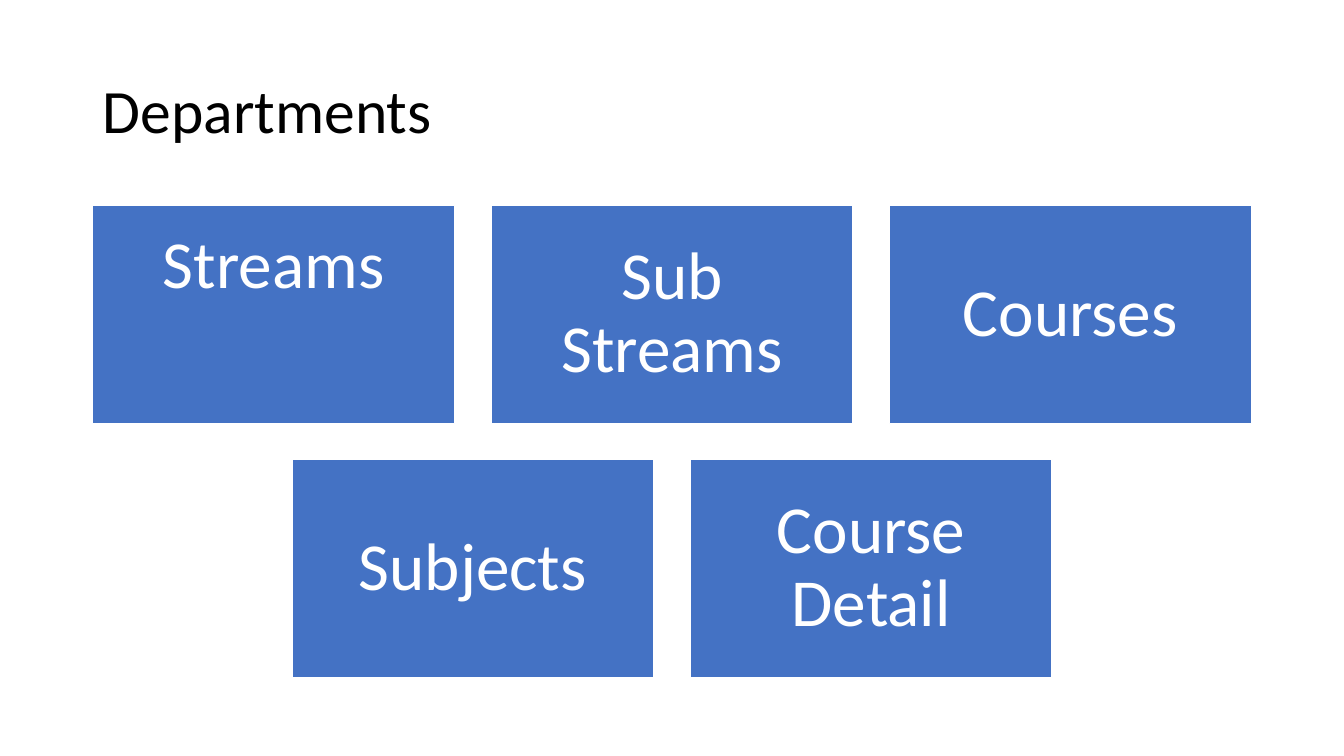
from dataclasses import dataclass

from pptx import Presentation
from pptx.dml.color import RGBColor
from pptx.enum.shapes import MSO_SHAPE
from pptx.enum.text import MSO_ANCHOR, MSO_AUTO_SIZE, PP_ALIGN
from pptx.shapes.autoshape import Shape
from pptx.slide import Slide
from pptx.util import Inches, Pt

RECTANGLE = MSO_SHAPE.RECTANGLE
TOP, MIDDLE = MSO_ANCHOR.TOP, MSO_ANCHOR.MIDDLE
LEFT, CENTER = PP_ALIGN.LEFT, PP_ALIGN.CENTER
NO_AUTOFIT = MSO_AUTO_SIZE.NONE

FONT = "Calibri"
BLACK, WHITE, BLUE = "000000", "FFFFFF", "4472C4"

SLIDE_WIDTH, SLIDE_HEIGHT = 13.33, 7.5
TILE_WIDTH, TILE_HEIGHT, TILE_GAP = 3.59, 2.16, 0.36
ROWS_TOP = 2.04
TILE_INSET = 0.2


@dataclass(frozen=True)
class Tile:
    label: str
    anchor: MSO_ANCHOR = MIDDLE
    top_inset: float = TILE_INSET


TILE_ROWS = [
    [Tile("Streams", anchor=TOP, top_inset=0.25), Tile("Sub Streams"), Tile("Courses")],
    [Tile("Subjects"), Tile("Course Detail")],
]


def color(hex_code: str) -> RGBColor:
    return RGBColor.from_string(hex_code)


def write(shape: Shape, text: str, *, size: float, hex_code: str,
          align: PP_ALIGN = LEFT, anchor: MSO_ANCHOR = MIDDLE) -> None:
    frame = shape.text_frame
    frame.text = text
    frame.word_wrap = True
    frame.auto_size = NO_AUTOFIT
    frame.vertical_anchor = anchor
    paragraph = frame.paragraphs[0]
    paragraph.alignment = align
    paragraph.line_spacing = 0.9
    font = paragraph.runs[0].font
    font.name = FONT
    font.size = Pt(size)
    font.color.rgb = color(hex_code)


def add_title(slide: Slide, text: str) -> None:
    title = slide.shapes.title
    title.left, title.top = Inches(0.92), Inches(0.4)
    title.width, title.height = Inches(11.5), Inches(1.45)
    write(title, text, size=44, hex_code=BLACK)


def add_tile(slide: Slide, tile: Tile, left: float, top: float) -> None:
    box = slide.shapes.add_shape(RECTANGLE, Inches(left), Inches(top),
                                 Inches(TILE_WIDTH), Inches(TILE_HEIGHT))
    box.shadow.inherit = False
    box.fill.solid()
    box.fill.fore_color.rgb = color(BLUE)
    box.line.color.rgb = color(WHITE)
    box.line.width = Pt(1)
    frame = box.text_frame
    frame.margin_left = frame.margin_right = frame.margin_bottom = Inches(TILE_INSET)
    frame.margin_top = Inches(tile.top_inset)
    write(box, tile.label, size=48, hex_code=WHITE, align=CENTER, anchor=tile.anchor)


def add_tile_rows(slide: Slide) -> None:
    """Draw the rows of tiles, each row centred on the slide."""
    for row, tiles in enumerate(TILE_ROWS):
        row_width = len(tiles) * (TILE_WIDTH + TILE_GAP) - TILE_GAP
        row_left = (SLIDE_WIDTH - row_width) / 2
        top = ROWS_TOP + row * (TILE_HEIGHT + TILE_GAP)
        for column, tile in enumerate(tiles):
            add_tile(slide, tile, row_left + column * (TILE_WIDTH + TILE_GAP), top)


def main() -> None:
    presentation = Presentation()
    presentation.slide_width = Inches(SLIDE_WIDTH)
    presentation.slide_height = Inches(SLIDE_HEIGHT)
    title_only = presentation.slide_layouts.get_by_name("Title Only")
    slide = presentation.slides.add_slide(title_only)
    add_title(slide, "Departments")
    add_tile_rows(slide)
    presentation.save("out.pptx")


if __name__ == "__main__":
    main()
